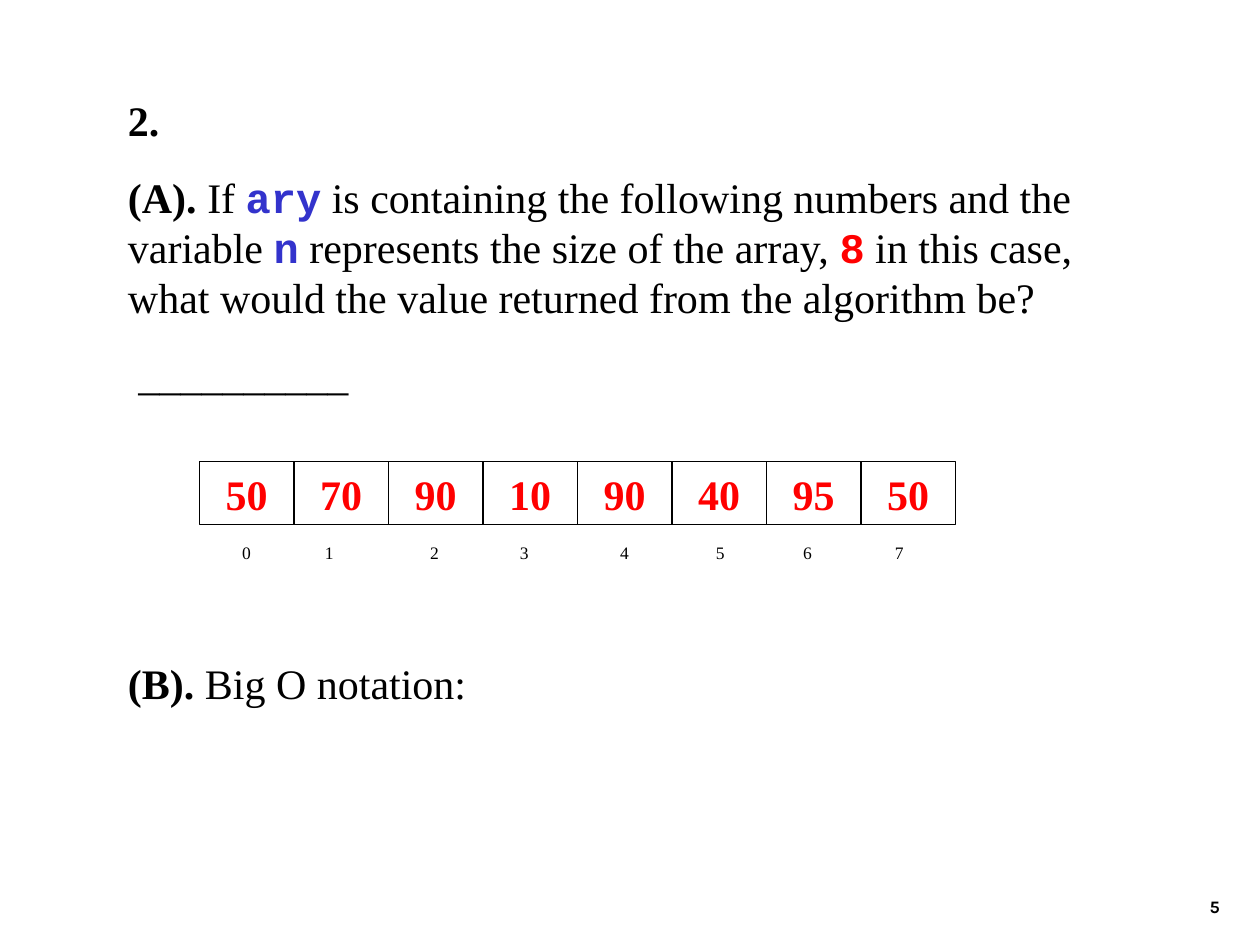
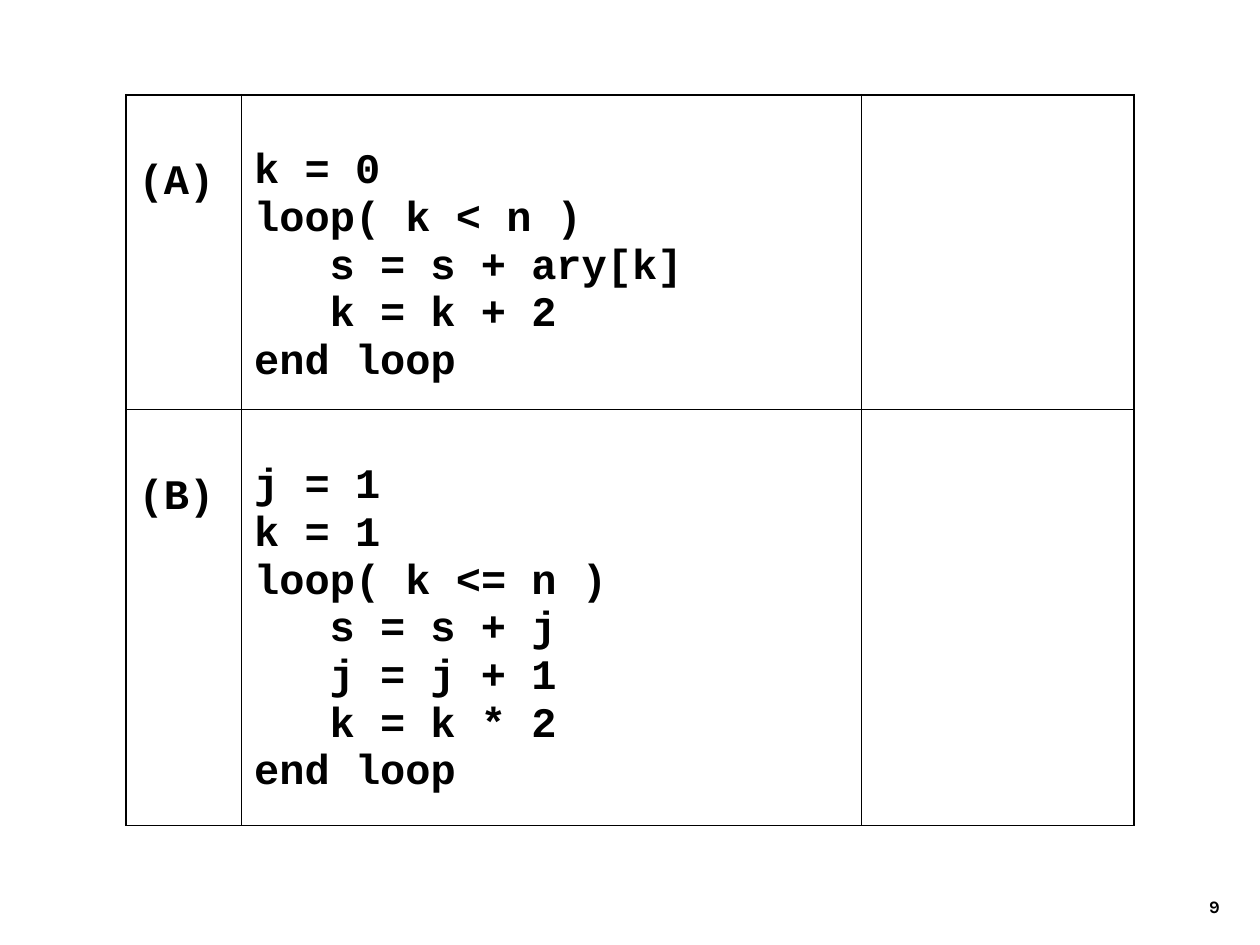
from dataclasses import dataclass
from lxml.etree import SubElement
from pptx import Presentation
from pptx.dml.color import RGBColor
from pptx.enum.shapes import MSO_SHAPE
from pptx.enum.text import MSO_ANCHOR, PP_ALIGN
from pptx.oxml.ns import qn
from pptx.util import Cm, Pt


@dataclass(frozen=True)
class Theme:
    black: str = "000000"
    white: str = "FFFFFF"
    red: str = "FF0000"
    blue: str = "3333CC"
    serif: str = "Times New Roman"
    mono: str = "Courier New"
    sans: str = "Karla"
    body: int = 24
    small: int = 10
    outer: float = 1.08
    inner: float = 0.45


T = Theme()


def write(p, text, size=T.body, font=T.serif, color=T.black, bold=False):
    r = p.add_run()
    r.text = text
    r.font.size = Pt(size)
    r.font.name = font
    r.font.bold = bold
    r.font.color.rgb = RGBColor.from_string(color)


def add_rect(s, x, y, w, h):
    sp = s.shapes.add_shape(MSO_SHAPE.RECTANGLE, Cm(x), Cm(y), Cm(w), Cm(h))
    sp.shadow.inherit = False
    sp.fill.background()
    sp.line.fill.background()
    return sp


prs = Presentation()
prs.slide_width, prs.slide_height = Cm(25.4), Cm(19.05)
slides = []
for number in ("5", "9"):
    s = prs.slides.add_slide(prs.slide_layouts[6])
    tf = s.shapes.add_textbox(Cm(19.56), Cm(17.35), Cm(5.28), Cm(1.27)).text_frame
    tf.word_wrap = True
    tf.vertical_anchor = MSO_ANCHOR.BOTTOM
    p = tf.paragraphs[0]
    p.alignment = PP_ALIGN.RIGHT
    write(p, number, T.small, T.sans, bold=True)
    slides.append(s)
array_slide, loops_slide = slides

bold = {"bold": True}
name = {"font": T.mono, "color": T.blue, "bold": True}
value = {"font": T.mono, "color": T.red, "bold": True}
question = [
    (0, 0, [("2.", bold)]),
    (15, 0, [
        ("(A). ", bold), ("If ", {}), ("ary", name),
        (" is containing the following numbers and the variable ", {}), ("n", name),
        (" represents the size of the array, ", {}), ("8", value),
        (" in this case, what would the value returned from the algorithm be?", {}),
    ]),
    (15, 0.21, [("__________", {})]),
    (148, 0, [("(B). ", bold), ("Big O notation:", {})]),
]
tf = array_slide.shapes.add_textbox(Cm(2.33), Cm(1.78), Cm(21.17), Cm(12.57)).text_frame
tf.word_wrap = True
for i, (before, indent, runs) in enumerate(question):
    p = tf.add_paragraph() if i else tf.paragraphs[0]
    p.space_before = Pt(before)
    p._p.get_or_add_pPr().set("marL", str(Cm(indent)))
    for text, style in runs:
        write(p, text, **style)

numbers = [50, 70, 90, 10, 90, 40, 95, 50]
cell_w = 1.905
for i, number in enumerate(numbers):
    sp = add_rect(array_slide, 4.02 + i * cell_w, 9.31, cell_w, 1.27)
    sp.line.color.rgb = RGBColor.from_string(T.black)
    sp.line.width = Pt(0.75)
    tf = sp.text_frame
    tf.word_wrap = False
    tf.vertical_anchor = MSO_ANCHOR.MIDDLE
    p = tf.paragraphs[0]
    p.alignment = PP_ALIGN.CENTER
    write(p, str(number), color=T.red, bold=True)

sp = add_rect(array_slide, 4.55, 10.8, 14.71, 0.64)
sp.fill.solid()
sp.fill.fore_color.rgb = RGBColor.from_string(T.white)
tf = sp.text_frame
tf.word_wrap = True
tf.vertical_anchor = MSO_ANCHOR.TOP
tf.margin_left = Cm(0.33)
p = tf.paragraphs[0]
p.alignment = PP_ALIGN.LEFT
tabs = SubElement(p._p.get_or_add_pPr(), qn("a:tabLst"))
for x in (1.67, 3.79, 5.6, 7.62, 9.55, 11.31, 13.16):
    SubElement(tabs, qn("a:tab"), pos=str(Cm(x)), algn="l")
write(p, "\t".join(str(i) for i in range(len(numbers))), T.small)

loops = [
    ("(A)", [(0, "k = 0"), (0, "loop( k < n )"), (1, "s = s + ary[k]"),
             (1, "k = k + 2"), (0, "end loop")]),
    ("(B)", [(0, "j = 1"), (0, "k = 1"), (0, "loop( k <= n )"), (1, "s = s + j"),
             (1, "j = j + 1"), (1, "k = k * 2"), (0, "end loop")]),
]
col_widths, row_heights = (2.33, 12.49, 5.5), (6.35, 8.38)
frame = loops_slide.shapes.add_table(2, 3, Cm(2.54), Cm(1.91),
                                     Cm(sum(col_widths)), Cm(sum(row_heights)))
table = frame.table
table.first_row = table.horz_banding = False
for col, w in zip(table.columns, col_widths):
    col.width = Cm(w)
for row, h in zip(table.rows, row_heights):
    row.height = Cm(h)

for i, (label, code) in enumerate(loops):
    for j, (top, lines) in enumerate([(1.3, [(0, label)]), (1.09, code), (0.13, [])]):
        cell = table.cell(i, j)
        cell.margin_top = Cm(top)
        tcPr = cell._tc.get_or_add_tcPr()
        edges = {"a:lnL": j == 0, "a:lnR": j == 2, "a:lnT": i == 0, "a:lnB": i == 1}
        for tag, is_outer in edges.items():
            ln = SubElement(tcPr, qn(tag), w=str(Pt(T.outer if is_outer else T.inner)))
            SubElement(SubElement(ln, qn("a:solidFill")), qn("a:srgbClr"), val=T.black)
        cell.fill.background()
        tf = cell.text_frame
        for k, (level, text) in enumerate(lines):
            p = tf.add_paragraph() if k else tf.paragraphs[0]
            p._p.get_or_add_pPr().set("marL", str(Cm(1.52 * level)))
            write(p, text, font=T.mono, bold=True)

prs.save("out.pptx")
